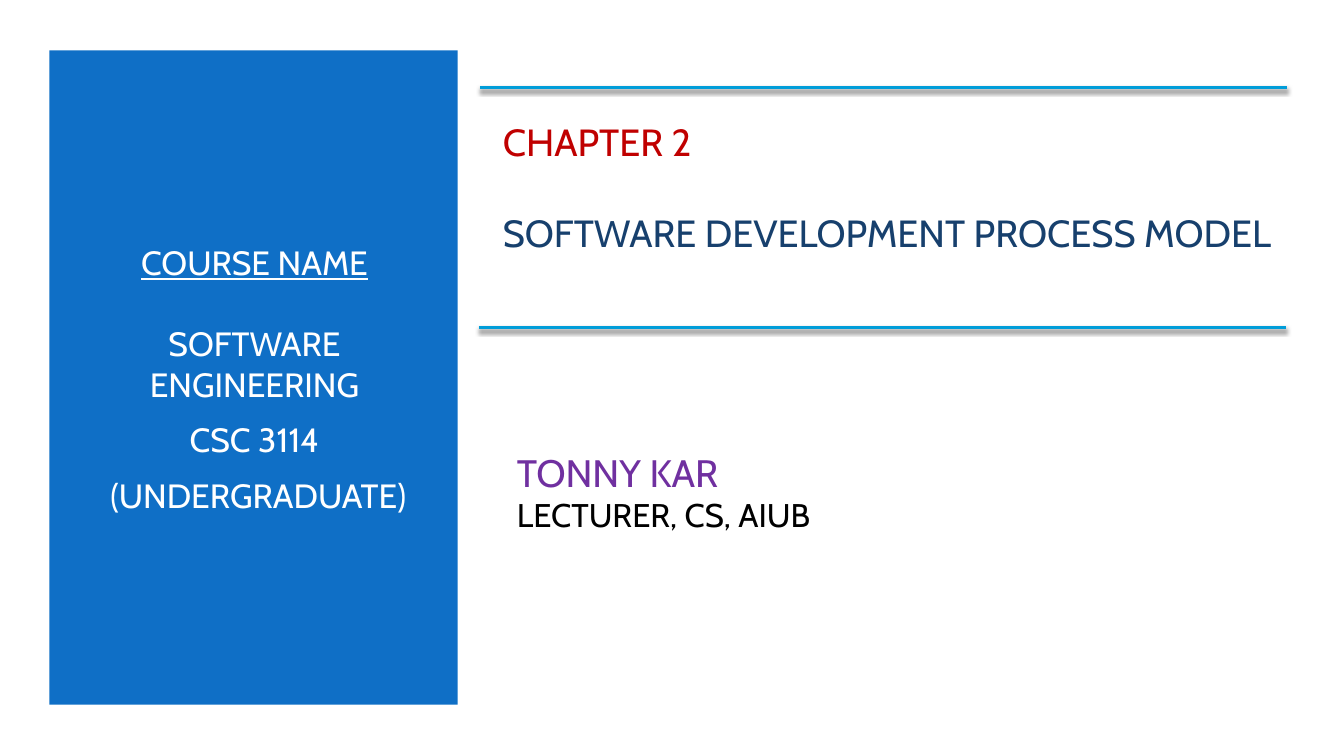
from lxml import etree
from pptx import Presentation
from pptx.dml.color import RGBColor
from pptx.enum.shapes import MSO_CONNECTOR, MSO_SHAPE
from pptx.enum.text import MSO_ANCHOR, PP_ALIGN
from pptx.oxml.ns import qn
from pptx.util import Inches, Pt

RECTANGLE = MSO_SHAPE.RECTANGLE
STRAIGHT = MSO_CONNECTOR.STRAIGHT
MIDDLE = MSO_ANCHOR.MIDDLE
LEFT, CENTER = PP_ALIGN.LEFT, PP_ALIGN.CENTER

WHITE = RGBColor(0xFF, 0xFF, 0xFF)
BLACK = RGBColor(0x00, 0x00, 0x00)
BLUE = RGBColor(0x0F, 0x6F, 0xC6)
SKY = RGBColor(0x00, 0x9D, 0xD9)
NAVY = RGBColor(0x17, 0x40, 0x6D)
RED = RGBColor(0xC0, 0x00, 0x00)
PURPLE = RGBColor(0x70, 0x30, 0xA0)

COLUMNS, ROWS = 40, 30


class CoverPage:
    font_name = "Cabin"
    rule_width = Pt(2)

    def __init__(self, deck):
        self.page = deck.slides.add_slide(deck.slide_layouts[6])
        self.column = deck.slide_width / COLUMNS
        self.row = deck.slide_height / ROWS

    def place(self, left, top, width, height):
        return (round(left * self.column), round(top * self.row),
                round(width * self.column), round(height * self.row))

    def panel(self, area, color):
        shape = self.page.shapes.add_shape(RECTANGLE, *self.place(*area))
        shape.shadow.inherit = False
        shape.fill.solid()
        shape.fill.fore_color.rgb = color
        shape.line.fill.background()

    def text(self, area, lines, align=LEFT, after=0):
        box = self.page.shapes.add_textbox(*self.place(*area))
        frame = box.text_frame
        frame.word_wrap = True
        frame.vertical_anchor = MIDDLE
        frame.text = "\n".join(line[0] for line in lines)
        for para, (_, size, color, before, underline) in zip(frame.paragraphs, lines):
            para.alignment = align
            para.space_before = Pt(before)
            para.space_after = Pt(after)
            for span in para.runs:
                span.font.name = self.font_name
                span.font.size = Pt(size)
                span.font.color.rgb = color
                span.font.underline = underline

    def rule(self, left, top, length, color):
        x, y, width, _ = self.place(left, top, length, 0)
        line = self.page.shapes.add_connector(STRAIGHT, x, y, x + width, y)
        line.line.color.rgb = color
        line.line.width = self.rule_width
        effects = etree.SubElement(line._element.spPr, qn("a:effectLst"))
        shadow = etree.SubElement(effects, qn("a:outerShdw"), blurRad=str(Pt(3)),
                                  dist=str(Pt(2)), dir="5400000", rotWithShape="0")
        tint = etree.SubElement(shadow, qn("a:srgbClr"), val=str(BLACK))
        etree.SubElement(tint, qn("a:alpha"), val="55000")


def main():
    deck = Presentation()
    deck.slide_width = Inches(13.33)
    deck.slide_height = Inches(7.5)
    cover = CoverPage(deck)

    cover.panel((0, 0, COLUMNS, ROWS), WHITE)
    cover.panel((1.47, 2, 12.15, 25.96), BLUE)
    cover.text((2.52, 4.52, 10.11, 21), [
        ("COURSE NAME", 24, WHITE, 0, True),
        ("SOFTWARE ENGINEERING", 24, WHITE, 23.2, False),
        ("CSC 3114", 24, WHITE, 4.8, False),
        (" (UNDERGRADUATE)", 24, WHITE, 4.8, False),
    ], CENTER, 6)
    cover.text((14.67, 4.4, 23.55, 6.04), [
        ("CHAPTER 2", 27, RED, 0, False),
        ("SOFTWARE DEVELOPMENT PROCESS MODEL", 27, NAVY, 32.8, False),
    ])
    cover.text((15.09, 16.4, 19.98, 6.24), [
        ("TONNY KAR", 27.3, PURPLE, 0, False),
        ("LECTURER, CS, AIUB", 23.4, BLACK, 0, False),
    ])
    for left, top in ((14.28, 3.48), (14.25, 13)):
        cover.rule(left, top, 24.03, SKY)

    deck.save("out.pptx")


if __name__ == "__main__":
    main()
